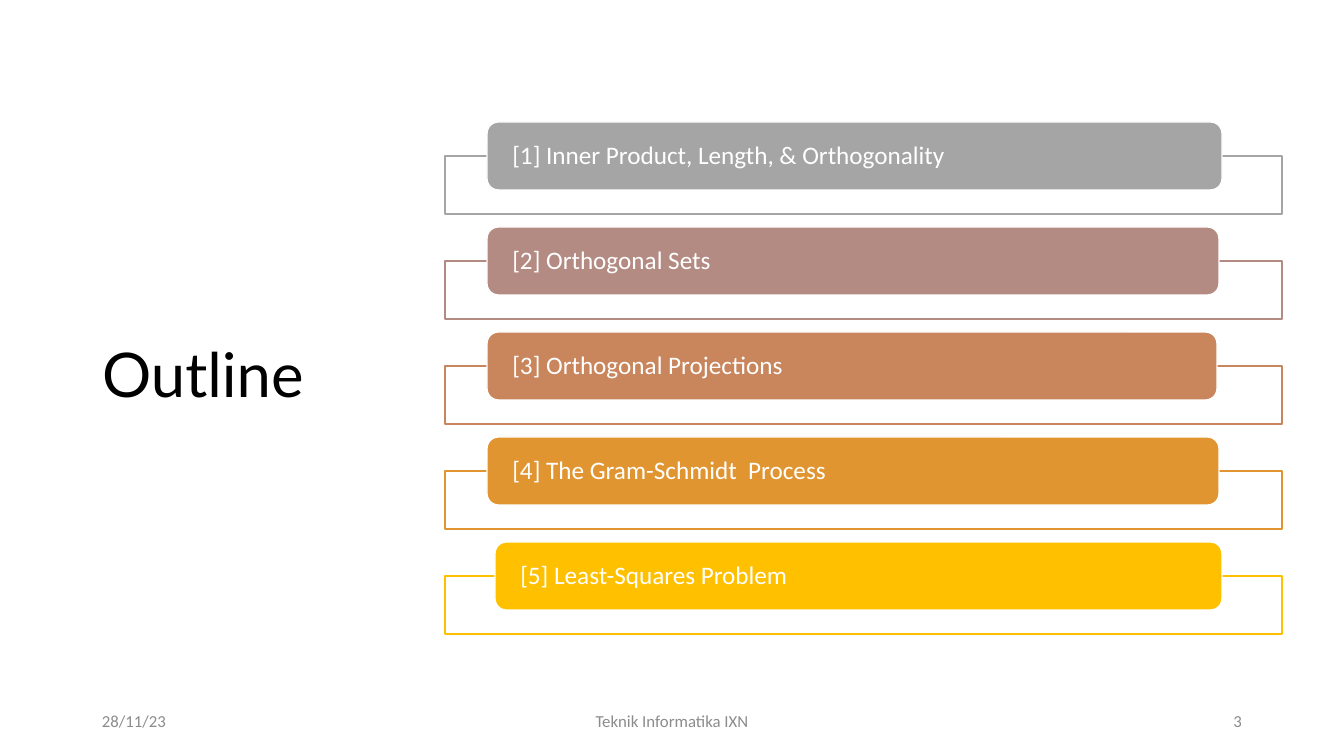
from dataclasses import dataclass

from lxml import etree
from pptx import Presentation
from pptx import util as u
from pptx.dml.color import RGBColor
from pptx.enum import shapes, text
from pptx.oxml.ns import qn

TITLE = "Outline"
TOPICS = [
    ("[1] Inner Product, Length, & Orthogonality", "A5A5A5", 487, 735),
    ("[2] Orthogonal Sets", "B48B83", 487, 732),
    ("[3] Orthogonal Projections", "C9855C", 487, 730),
    ("[4] The Gram-Schmidt  Process", "E19530", 487, 732),
    ("[5] Least-Squares Problem", "FFC000", 495, 727),
]
FOOTERS = [
    ("28/11/23", 92, 302, text.PP_ALIGN.LEFT),
    ("Teknik Informatika IXN", 445, 454, text.PP_ALIGN.CENTER),
    ("3", 950, 302, text.PP_ALIGN.RIGHT),
]


@dataclass(frozen=True)
class Theme:
    white: str = "FFFFFF"
    black: str = "000000"
    gray: str = "8C8C8C"
    heading_font: str = "Lato"
    body_font: str = "Calibri"
    title_size: int = 44
    topic_size: int = 18
    footer_size: int = 12


THEME = Theme()
EMU_PER_PX = 914400 / 100.8
FIRST_TOP, PITCH = 122, 105
PILL_HEIGHT, PILL_INSET = 68, 22
FRAME_LEFT, FRAME_DROP, FRAME_WIDTH, FRAME_HEIGHT = 445, 34, 837, 58
FOOTER_TOP, FOOTER_HEIGHT = 701, 40


def px(length):
    return u.Emu(round(length * EMU_PER_PX))


def rgb(value):
    return RGBColor.from_string(value)


def write(box, words, font, size, color, align=text.PP_ALIGN.LEFT, spacing=None):
    frame = box.text_frame
    frame.word_wrap = True
    frame.auto_size = text.MSO_AUTO_SIZE.NONE
    frame.vertical_anchor = text.MSO_ANCHOR.MIDDLE
    frame.text = words
    para = frame.paragraphs[0]
    para.alignment = align
    para.line_spacing = spacing
    span = para.runs[0]
    span.font.name = font
    span.font.size = u.Pt(size)
    span.font.color.rgb = rgb(color)


def add_box(page, kind, bounds, fill, line):
    box = page.shapes.add_shape(kind, *map(px, bounds))
    box.shadow.inherit = False
    box.fill.solid()
    box.fill.fore_color.rgb = rgb(fill)
    box.line.color.rgb = rgb(line)
    box.line.width = u.Pt(1)
    return box


def add_topic(page, index, words, color, left, width):
    top = FIRST_TOP + index * PITCH
    frame = add_box(page, shapes.MSO_SHAPE.RECTANGLE,
                    (FRAME_LEFT, top + FRAME_DROP, FRAME_WIDTH, FRAME_HEIGHT),
                    THEME.white, color)
    fill_color = frame.fill._xPr.find(qn("a:solidFill"))[0]
    etree.SubElement(fill_color, qn("a:alpha")).set("val", "90000")
    pill = add_box(page, shapes.MSO_SHAPE.ROUNDED_RECTANGLE,
                   (left, top, width, PILL_HEIGHT), color, THEME.white)
    pill.text_frame.margin_left = pill.text_frame.margin_right = px(PILL_INSET)
    pill.text_frame.margin_top = pill.text_frame.margin_bottom = 0
    write(pill, words, THEME.body_font, THEME.topic_size, THEME.white, spacing=0.9)


def main():
    deck = Presentation()
    deck.slide_width, deck.slide_height = px(1344), px(756)
    page = deck.slides.add_slide(deck.slide_layouts[5])

    title = page.shapes.title
    title.left, title.top, title.width, title.height = map(px, (92, 305, 1159, 146))
    write(title, TITLE, THEME.heading_font, THEME.title_size, THEME.black, spacing=0.9)

    for index, topic in enumerate(TOPICS):
        add_topic(page, index, *topic)

    for words, left, width, align in FOOTERS:
        box = page.shapes.add_textbox(*map(px, (left, FOOTER_TOP, width, FOOTER_HEIGHT)))
        write(box, words, THEME.body_font, THEME.footer_size, THEME.gray, align)

    deck.save("out.pptx")


if __name__ == "__main__":
    main()
